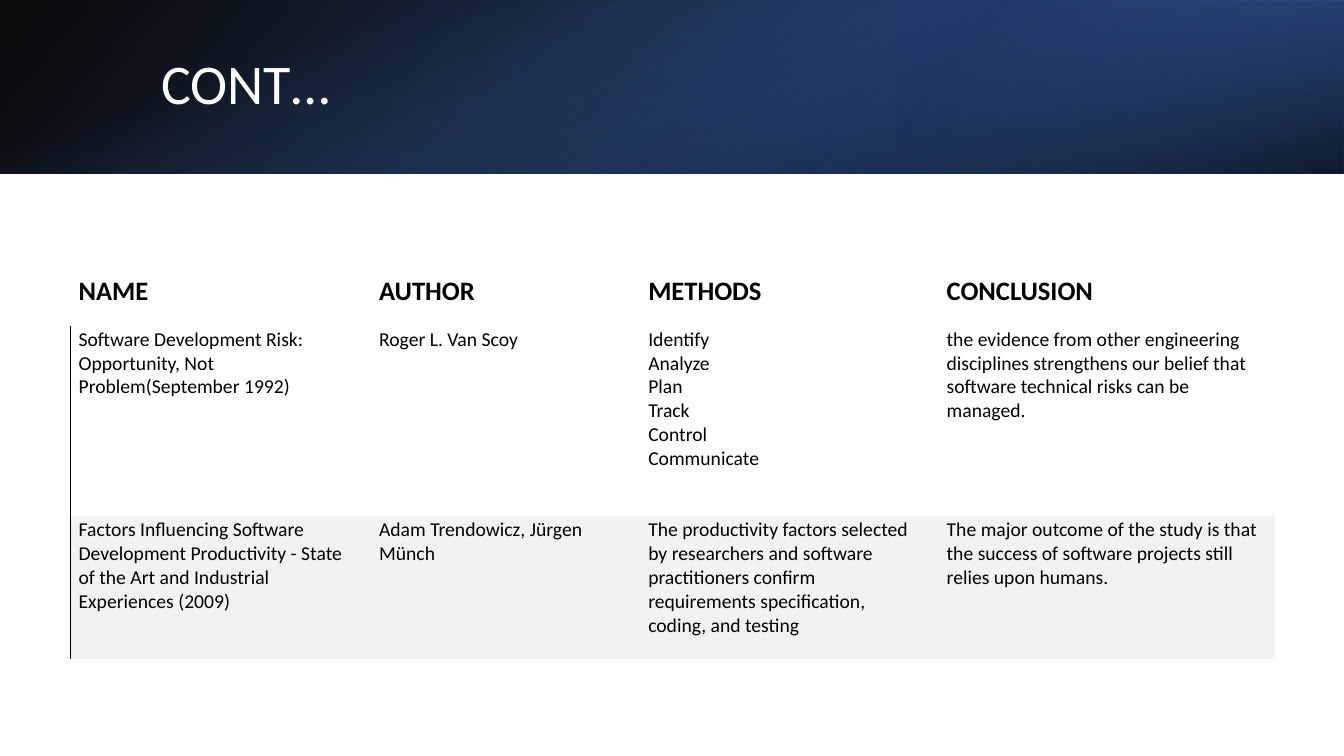
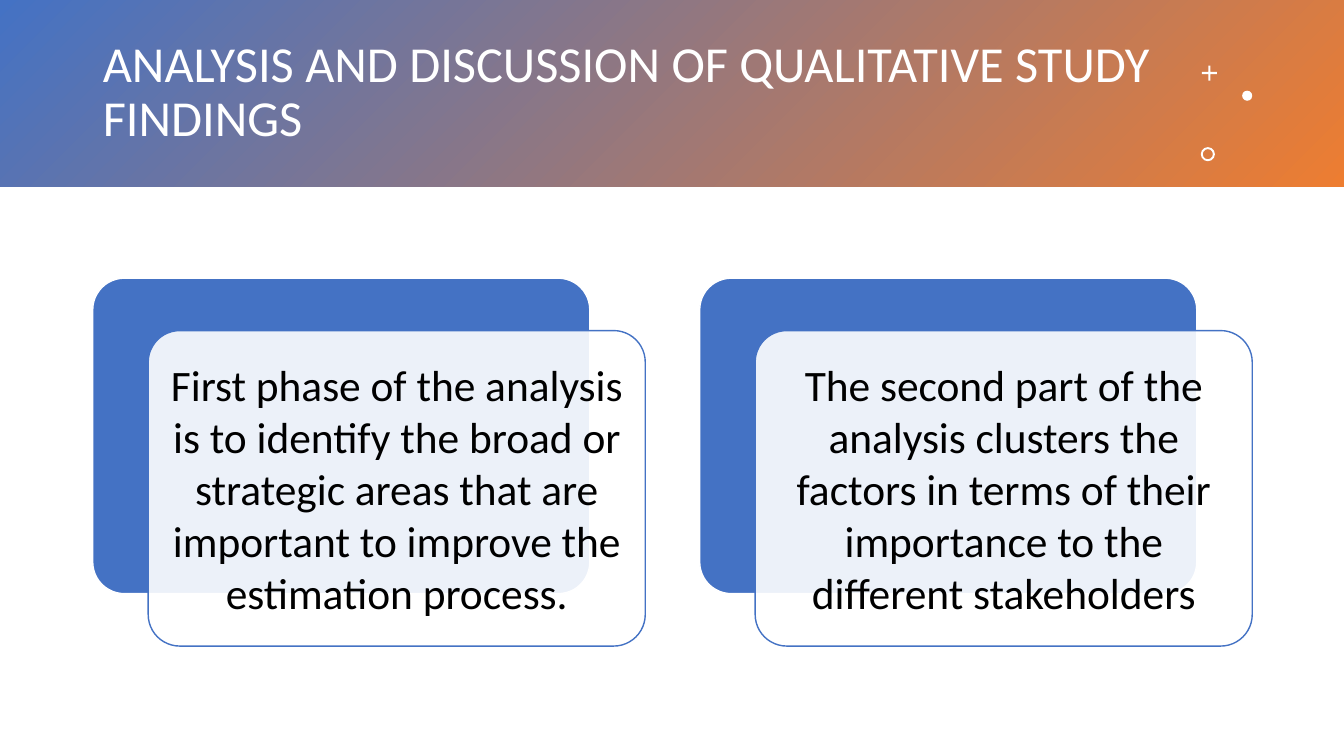
import lxml.etree
import pptx
import pptx.dml.color
import pptx.enum.shapes
import pptx.enum.text
import pptx.oxml.ns
import pptx.util

Inches = pptx.util.Inches
Pt = pptx.util.Pt
qn = pptx.oxml.ns.qn
Preset = pptx.enum.shapes.MSO_SHAPE
Anchor = pptx.enum.text.MSO_ANCHOR
Align = pptx.enum.text.PP_ALIGN

FONT = "Calibri"
COLORS = {
    "white": "FFFFFF",
    "black": "000000",
    "blue": "4472C4",
    "deep_blue": "2F5597",
    "navy": "203864",
    "orange": "ED7D31",
    "stripe": "F2F2F2",
}
PLAIN_TABLE = "{2D5ABB26-0587-4C30-8999-92F81FD0307C}"


def rgb(name):
    return pptx.dml.color.RGBColor.from_string(COLORS[name])


def add_alpha(color_element, percent):
    alpha = lxml.etree.SubElement(color_element, qn("a:alpha"))
    alpha.set("val", str(percent * 1000))


class Deck:
    def __init__(self):
        self.presentation = pptx.Presentation()
        self.presentation.slide_width = Inches(13.33)
        self.presentation.slide_height = Inches(7.5)
        self.slide = None

    def new_slide(self):
        layout = self.presentation.slide_layouts[5]
        self.slide = self.presentation.slides.add_slide(layout)

    def style_text(self, paragraph, size, color, bold=False):
        paragraph.font.name = FONT
        paragraph.font.size = Pt(size)
        paragraph.font.bold = bold
        paragraph.font.color.rgb = rgb(color)

    def title(self, text, left, top, width, height, size):
        title = self.slide.shapes.title
        self.slide.shapes.element.append(title.element)
        title.left, title.top = Inches(left), Inches(top)
        title.width, title.height = Inches(width), Inches(height)
        title.text_frame.text = text
        title.text_frame.word_wrap = True
        title.text_frame.auto_size = pptx.enum.text.MSO_AUTO_SIZE.NONE
        title.text_frame.vertical_anchor = Anchor.MIDDLE
        paragraph = title.text_frame.paragraphs[0]
        paragraph.alignment = Align.LEFT
        paragraph.line_spacing = 0.9
        self.style_text(paragraph, size, "white")

    def shape(self, preset, left, top, width, height, fill=None, line=None, adjust=None, opacity=100):
        shape = self.slide.shapes.add_shape(
            preset, Inches(left), Inches(top), Inches(width), Inches(height))
        shape.shadow.inherit = False
        if adjust is not None:
            shape.adjustments[0] = adjust
        if fill:
            shape.fill.solid()
            shape.fill.fore_color.rgb = rgb(fill)
            if opacity < 100:
                add_alpha(shape.element.spPr.find(qn("a:solidFill"))[0], opacity)
        if line:
            shape.line.color.rgb = rgb(line)
            shape.line.width = Pt(1)
        else:
            shape.line.fill.background()
        return shape

    def band(self, left, top, width, height, stops, angle, rotation=0, flip=False):
        band = self.shape(Preset.RECTANGLE, left, top, width, height)
        band.rotation = rotation
        if flip:
            band.element.spPr.find(qn("a:xfrm")).set("flipH", "1")
        band.fill.gradient()
        band.fill.gradient_angle = 360 - angle
        for stop, (position, color, _) in zip(band.fill.gradient_stops, stops):
            stop.position = position / 100
            stop.color.rgb = rgb(color)
        for element, (_, _, opacity) in zip(band.element.spPr.iter(qn("a:srgbClr")), stops):
            if opacity < 100:
                add_alpha(element, opacity)

    def card(self, left, top, text):
        width, height = 4.93, 3.13
        self.shape(Preset.ROUNDED_RECTANGLE, left, top, width, height, "blue", "white", 0.1)
        front = self.shape(Preset.ROUNDED_RECTANGLE, left + 0.55, top + 0.52, width, height,
                           "white", "blue", 0.1, opacity=90)
        frame = front.text_frame
        frame.word_wrap = True
        frame.vertical_anchor = Anchor.MIDDLE
        frame.margin_left = frame.margin_right = Inches(0.13)
        frame.margin_top = frame.margin_bottom = Inches(0.13)
        frame.text = text
        frame.paragraphs[0].alignment = Align.CENTER
        self.style_text(frame.paragraphs[0], 31, "black")

    def table(self, left, top, widths, heights, rows):
        frame = self.slide.shapes.add_table(
            len(rows), len(widths), Inches(left), Inches(top),
            Inches(sum(widths)), Inches(sum(heights)))
        table = frame.table
        table.first_row = table.horz_banding = False
        frame.element.find(".//" + qn("a:tableStyleId")).text = PLAIN_TABLE
        for column, width in zip(table.columns, widths):
            column.width = Inches(width)
        for row, height in zip(table.rows, heights):
            row.height = Inches(height)
        for row_index, texts in enumerate(rows):
            for column_index, text in enumerate(texts):
                cell = table.cell(row_index, column_index)
                self.fill_cell(cell, text, header=row_index == 0, striped=row_index == 2)
                if row_index and column_index == 0:
                    self.left_border(cell)

    def fill_cell(self, cell, text, header, striped):
        cell.margin_left, cell.margin_right = Inches(0.08), Inches(0.14)
        cell.margin_top, cell.margin_bottom = Inches(0.02), Inches(0.18)
        cell.vertical_anchor = Anchor.BOTTOM if header else Anchor.TOP
        cell.text = text
        for paragraph in cell.text_frame.paragraphs:
            self.style_text(paragraph, 19 if header else 14, "black", bold=header)
        if striped:
            cell.fill.solid()
            cell.fill.fore_color.rgb = rgb("stripe")
        else:
            cell.fill.background()

    def left_border(self, cell):
        line = lxml.etree.Element(qn("a:lnL"), w=str(Pt(0.75)))
        fill = lxml.etree.SubElement(line, qn("a:solidFill"))
        lxml.etree.SubElement(fill, qn("a:srgbClr"), val=COLORS["black"])
        cell._tc.get_or_add_tcPr().insert(0, line)


deck = Deck()

deck.new_slide()
deck.band(0, 0, 13.33, 1.72, [(0, "black", 96), (100, "deep_blue", 100)], 140, flip=True)
deck.band(8.89, 0, 4.44, 1.72, [(19, "navy", 68), (100, "blue", 79)], 320, rotation=180, flip=True)
deck.band(5.8, -5.8, 1.72, 13.33, [(23, "blue", 0), (99, "black", 74)], 340, rotation=90)
deck.title("CONT…", 1.5, 0.38, 10.98, 0.96, 40)
deck.table(0.7, 2.67, [2.98, 2.67, 2.96, 3.34], [0.56, 1.89, 1.42], [
    ["NAME", "AUTHOR", "METHODS", "CONCLUSION"],
    [
        "Software Development Risk: Opportunity, Not Problem(September 1992)",
        "Roger L. Van Scoy",
        "Identify\nAnalyze\nPlan\nTrack\nControl \nCommunicate ",
        "the evidence from other engineering disciplines strengthens our belief "
        "that software technical risks can be managed. ",
    ],
    [
        "Factors Influencing Software Development Productivity - State of the Art "
        "and Industrial Experiences (2009)",
        "Adam Trendowicz, Jürgen Münch ",
        "The productivity factors selected by researchers and software practitioners "
        "confirm requirements specification, coding, and testing",
        "The major outcome of the study is that the success of software projects "
        "still relies upon humans. ",
    ],
])

deck.new_slide()
deck.band(0, 0, 13.33, 1.85, [(0, "blue", 100), (100, "orange", 100)], 45)
deck.title("ANALYSIS AND DISCUSSION OF QUALITATIVE STUDY FINDINGS ", 0.92, 0.33, 10.75, 1.19, 36)
deck.shape(Preset.CROSS, 11.92, 0.65, 0.15, 0.15, "white", adjust=0.43)
deck.shape(Preset.OVAL, 12.32, 0.9, 0.1, 0.1, "white")
deck.shape(Preset.DONUT, 11.91, 1.46, 0.14, 0.14, "white", adjust=0.14)
phases = [
    "First phase of the analysis is to identify the broad or strategic areas "
    "that are important to improve the estimation process.",
    "The second part of the analysis clusters the factors in terms of their "
    "importance to the different stakeholders",
]
for index, phase in enumerate(phases):
    deck.card(0.92 + index * 6.02, 2.76, phase)

deck.presentation.save("out.pptx")
